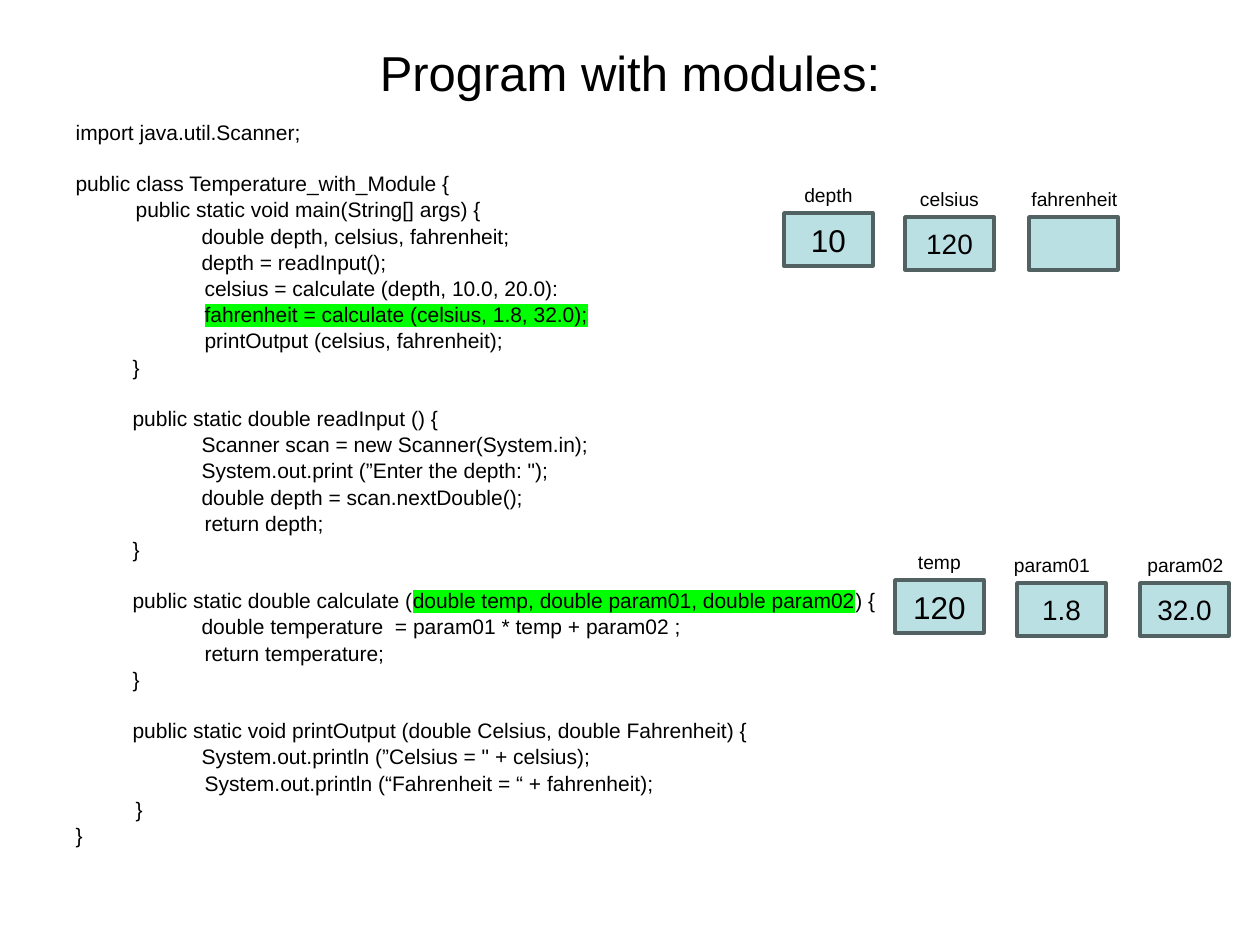
from lxml import etree
from pptx import Presentation
from pptx.dml.color import RGBColor
from pptx.enum.shapes import MSO_SHAPE
from pptx.enum.text import MSO_ANCHOR, MSO_AUTO_SIZE, PP_ALIGN
from pptx.oxml.ns import qn
from pptx.util import Emu, Pt

BLACK = RGBColor(0x00, 0x00, 0x00)
GREEN = RGBColor(0x00, 0xFF, 0x00)
PALE_BLUE = RGBColor(0xBB, 0xE0, 0xE3)
SLATE = RGBColor(0x52, 0x62, 0x63)
RECT = MSO_SHAPE.RECTANGLE
CENTER, LEFT = PP_ALIGN.CENTER, PP_ALIGN.LEFT
MIDDLE, TOP = MSO_ANCHOR.MIDDLE, MSO_ANCHOR.TOP
NO_FIT = MSO_AUTO_SIZE.NONE
SCALE = 914400 / 126

CODE = [
    [(0, "import java.util.Scanner;")],
    [
        (0, "public class Temperature_with_Module {"),
        (60, "public static void main(String[] args) {"),
        (126, "double depth, celsius, fahrenheit;"),
        (126, "depth = readInput();"),
        (129, "celsius = calculate (depth, 10.0, 20.0):"),
        (129, "|fahrenheit = calculate (celsius, 1.8, 32.0);|"),
        (129, "printOutput (celsius, fahrenheit);"),
        (57, "}"),
    ],
    [
        (57, "public static double readInput () {"),
        (126, "Scanner scan = new Scanner(System.in);"),
        (126, "System.out.print (”Enter the depth: \");"),
        (126, "double depth = scan.nextDouble();"),
        (129, "return depth;"),
        (57, "}"),
    ],
    [
        (57, "public static double calculate (|double temp, double param01, double param02|) {"),
        (126, "double temperature  = param01 * temp + param02 ;"),
        (129, "return temperature;"),
        (57, "}"),
    ],
    [
        (57, "public static void printOutput (double Celsius, double Fahrenheit) {"),
        (126, "System.out.println (”Celsius = \" + celsius);"),
        (129, "System.out.println (“Fahrenheit = “ + fahrenheit);"),
        (60, "}"),
        (0, "}"),
    ],
]

VARIABLES = [
    ("depth", "10", 18, 784, 213, 784, 89),
    ("celsius", "120", 16, 905, 217, 905, 89),
    ("fahrenheit", "", 16, 1029, 217, 1017, 115),
    ("temp", "120", 18, 895, 580, 895, 89),
    ("param01", "1.8", 16, 1017, 583, 997, 110),
    ("param02", "32.0", 16, 1140, 583, 1128, 115),
]


def px(n):
    return Emu(round(n * SCALE))


class Deck:
    font = "Arial"
    box_w, box_h, label_h = 89, 53, 37

    def __init__(self, width, height):
        self.prs = Presentation()
        self.prs.slide_width, self.prs.slide_height = px(width), px(height)
        self.slide = self.prs.slides.add_slide(self.prs.slide_layouts[1])

    def place(self, sp, x, y, w, h):
        sp.left, sp.top, sp.width, sp.height = px(x), px(y), px(w), px(h)

    def style(self, r, size):
        r.font.name = self.font
        r.font.size = Pt(size)
        r.font.color.rgb = BLACK

    def highlight(self, r):
        fill = r._r.get_or_add_rPr().find(qn("a:solidFill"))
        mark = etree.Element(qn("a:highlight"))
        etree.SubElement(mark, qn("a:srgbClr"), val=str(GREEN))
        fill.addnext(mark)

    def frame(self, sp, anchor):
        tf = sp.text_frame
        tf.word_wrap = True
        tf.auto_size = NO_FIT
        tf.vertical_anchor = anchor
        return tf

    def centered(self, sp, text, size):
        p = self.frame(sp, MIDDLE).paragraphs[0]
        p.text = text
        p.alignment = CENTER
        for r in p.runs:
            self.style(r, size)

    def title(self, text, x, y, w, h):
        sp = self.slide.shapes.title
        self.place(sp, x, y, w, h)
        self.centered(sp, text, 28)

    def code_line(self, p, indent, text, space):
        pPr = p._p.get_or_add_pPr()
        pPr.set("marL", str(px(indent)))
        pPr.set("indent", "0")
        etree.SubElement(pPr, qn("a:buNone"))
        p.alignment = LEFT
        p.line_spacing = 0.9
        p.space_before = Pt(space)
        for i, piece in enumerate(text.split("|")):
            if piece:
                r = p.add_run()
                r.text = piece
                self.style(r, 12)
                if i % 2:
                    self.highlight(r)

    def code(self, blocks, x, y, w, h):
        sp = self.slide.placeholders[1]
        self.place(sp, x, y, w, h)
        tf = self.frame(sp, TOP)
        p = tf.paragraphs[0]
        for b, block in enumerate(blocks):
            for n, (indent, text) in enumerate(block):
                first = b == 0 and n == 0
                if not first:
                    p = tf.add_paragraph()
                self.code_line(p, indent, text, 0 if first else 2 if n else 16.4)

    def box(self, value, size, x, y):
        sp = self.slide.shapes.add_shape(RECT, px(x), px(y), px(self.box_w), px(self.box_h))
        sp.shadow.inherit = False
        sp.fill.solid()
        sp.fill.fore_color.rgb = PALE_BLUE
        sp.line.color.rgb = SLATE
        sp.line.width = Pt(2)
        if value:
            self.centered(sp, value, size)

    def label(self, text, x, y, w):
        sp = self.slide.shapes.add_textbox(px(x), px(y), px(w), px(self.label_h))
        self.centered(sp, text, 11)

    def variable(self, name, value, size, x, y, label_x, label_w):
        self.box(value, size, x, y)
        self.label(name, label_x, y - self.label_h, label_w)


def main():
    deck = Deck(1260, 945)
    deck.code(CODE, 63, 116, 1134, 733)
    deck.title("Program with modules:", 63, 38, 1134, 68)
    for variable in VARIABLES:
        deck.variable(*variable)
    deck.prs.save("out.pptx")


if __name__ == "__main__":
    main()
